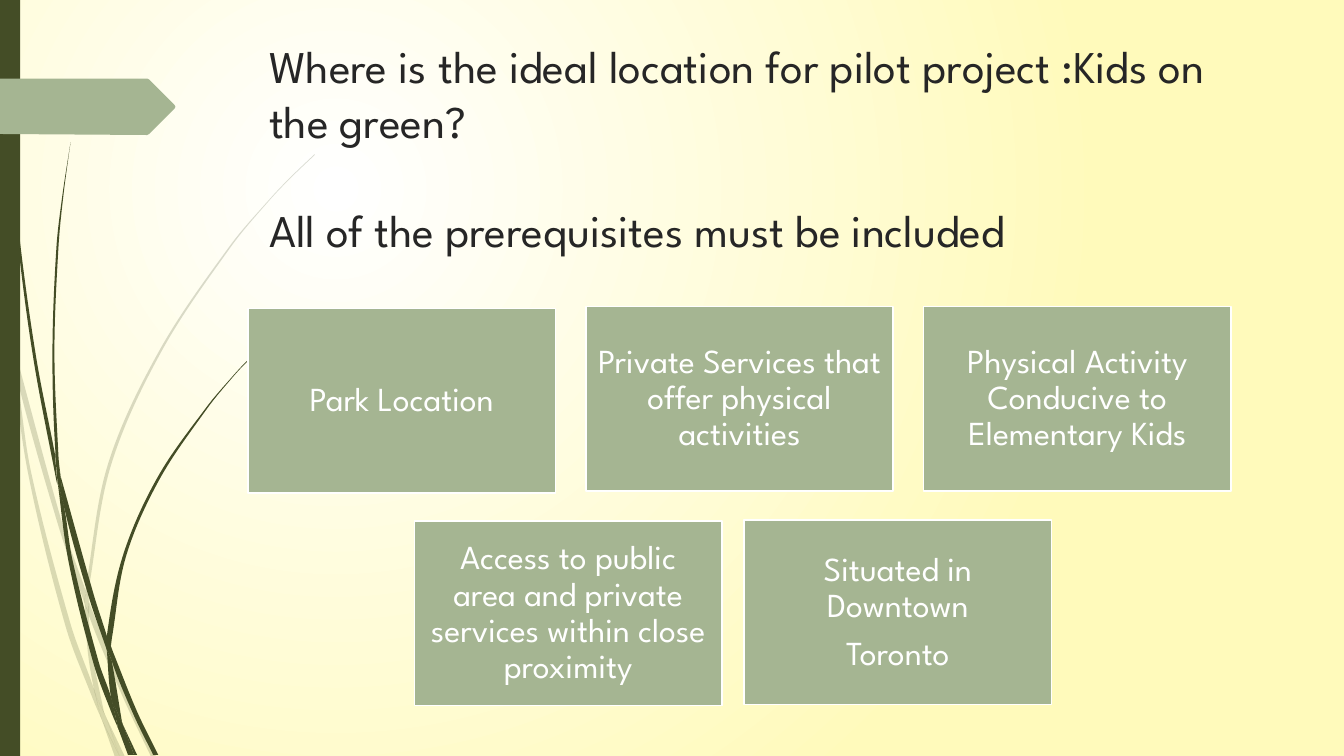
import math

from lxml import etree
from pptx import Presentation
from pptx.dml.color import RGBColor
from pptx.enum import shapes, text
from pptx.oxml import ns
from pptx.util import Inches, Pt

WHITE = RGBColor(0xFF, 0xFF, 0xFF)
CREAM = RGBColor(0xFF, 0xFA, 0xBB)
OLIVE = RGBColor(0x44, 0x4D, 0x26)
SAGE = RGBColor(0xA5, 0xB5, 0x92)
INK = RGBColor(0x26, 0x26, 0x26)
FONT = "League Spartan"

PALE_BLADES = [
    ([(0.11, 3.5), (0.09, 3.22), (0, 2.82)], [(0, 2.99), (0.1, 3.44), (0.11, 3.5)]),
    ([(0.14, 3.45), (0.17, 3.76), (0.58, 5.22), (0.84, 5.99)],
     [(0.85, 5.86), (0.62, 5.2), (0.14, 3.45)]),
    ([(0.88, 5.96), (0.88, 6.1), (1.23, 6.94), (1.5, 7.51)],
     [(1.55, 7.51), (1.27, 6.92), (0.92, 6.07), (0.88, 5.96)]),
    ([(1.05, 7.11), (1.19, 7.51)], [(1.24, 7.51), (1.05, 7.11)]),
    ([(0.11, 3.5), (0.28, 4.7), (0.65, 6.21), (0.92, 6.93), (1.01, 7.14)],
     [(0.99, 7.07), (0.93, 6.83), (0.7, 6.19), (0.31, 4.69), (0.17, 3.76), (0.11, 3.5)]),
    ([(0.84, 5.99), (0.87, 6.46), (0.93, 6.83), (0.96, 6.92), (1.05, 7.11)],
     [(1.03, 7.06), (0.91, 6.46), (0.88, 6.1), (0.88, 6.08), (0.84, 5.99)]),
    ([(3.12, 1.53), (2.89, 1.75), (2.68, 1.97), (2.28, 2.44), (1.58, 3.48), (1.07, 4.61),
      (0.85, 5.84), (0.85, 5.86), (0.88, 5.96)],
     [(0.88, 5.84), (1.1, 4.62), (1.6, 3.49), (2.29, 2.45), (2.68, 1.98), (2.9, 1.75),
      (3.12, 1.54)]),
    ([(1.01, 7.14), (1.14, 7.51)], [(1.19, 7.51), (1.01, 7.14)]),
    ([(0.88, 6.08), (0.88, 6.1), (0.88, 5.96)], [(0.85, 5.86), (0.84, 5.99), (0.88, 6.08)]),
    ([(0.93, 6.83), (0.99, 7.07), (1.01, 7.14), (1.19, 7.51)],
     [(1.19, 7.51), (1.05, 7.11), (0.96, 6.92), (0.93, 6.83)]),
]
DARK_BLADES = [
    ([(0.03, 0), (0.04, 0.48), (0.07, 1.1), (0.17, 2.33), (0.33, 3.55), (0.56, 4.77),
      (0.57, 4.81)],
     [(0.55, 4.57), (0.55, 4.53), (0.36, 3.55), (0.19, 2.32), (0.08, 1.09), (0.05, 0.48),
      (0.04, 0)]),
    ([(0.6, 4.72), (0.64, 5.05), (0.88, 5.92), (1.06, 6.45)],
     [(1.06, 6.33), (1.06, 6.31), (0.93, 5.9), (0.6, 4.72)]),
    ([(1.1, 6.41), (1.11, 6.56), (1.32, 7.08), (1.52, 7.49)],
     [(1.57, 7.49), (1.36, 7.06), (1.13, 6.49), (1.1, 6.41)]),
    ([(0.57, 4.77), (0.68, 5.57), (0.93, 6.59), (1.11, 7.08), (1.17, 7.22)],
     [(1.16, 7.17), (1.1, 6.91), (0.98, 6.57), (0.72, 5.56), (0.64, 5.05), (0.57, 4.77)]),
    ([(0.7, 1.41), (0.62, 1.93), (0.56, 2.45), (0.52, 3.49), (0.55, 4.49), (0.6, 4.72)],
     [(0.6, 4.72), (0.58, 4.53), (0.54, 3.49), (0.58, 2.45), (0.63, 1.93), (0.7, 1.41)]),
    ([(1.22, 7.19), (1.33, 7.49)], [(1.36, 7.49), (1.22, 7.19)]),
    ([(0.57, 4.77), (0.64, 5.05)], [(0.6, 4.72), (0.55, 4.49), (0.55, 4.53), (0.57, 4.77)]),
    ([(2.6, 3.44), (2.45, 3.58), (2.31, 3.73), (2.04, 4.05), (1.56, 4.74), (1.22, 5.51),
      (1.06, 6.31), (1.1, 6.41)],
     [(1.11, 6.33), (1.25, 5.52), (1.58, 4.76), (2.05, 4.06), (2.31, 3.74), (2.45, 3.59),
      (2.61, 3.44)]),
    ([(1.17, 7.22), (1.27, 7.49)], [(1.31, 7.49), (1.17, 7.22)]),
    ([(1.06, 6.45), (1.1, 6.91), (1.16, 7.06), (1.22, 7.19)],
     [(1.21, 7.16), (1.11, 6.56), (1.09, 6.51), (1.06, 6.45)]),
    ([(1.06, 6.45), (1.09, 6.51), (1.11, 6.56)], [(1.1, 6.41), (1.06, 6.31), (1.06, 6.45)]),
    ([(1.1, 6.91), (1.16, 7.17), (1.17, 7.22), (1.3, 7.49)],
     [(1.33, 7.49), (1.22, 7.19), (1.16, 7.06), (1.1, 6.91)]),
]
ARROW = [(0, 0.78), (1.46, 0.78), (1.48, 0.79), (1.73, 1.04), (1.74, 1.06), (1.73, 1.08),
         (1.48, 1.33), (1.46, 1.34), (0, 1.33)]
TITLE = ["Where is the ideal location for pilot project :Kids on the green?",
         "All of the prerequisites must be included"]
PREREQUISITES = [
    (2.46, 3.06, "Park Location"),
    (5.81, 3.04, "Private Services that offer physical activities"),
    (9.16, 3.04, "Physical Activity Conducive to Elementary Kids"),
    (4.11, 5.17, "Access to public\varea and private services within close proximity"),
    (7.38, 5.16, "Situated in Downtown\nToronto"),
]


def control(at, before, after, reach):
    """Return the handle of a curve at a point, along its neighbours' chord."""
    chord = math.dist(before, after) or 1
    return tuple(p + (b - a) * reach / chord for p, a, b in zip(at, before, after))


def curve(edge):
    """Return two handles and an end point for each step of an edge."""
    padded = [edge[0], *edge, edge[-1]]
    points = []
    for a, b, c, d in zip(padded, padded[1:], padded[2:], padded[3:]):
        reach = math.dist(b, c) / 3
        points += [control(b, a, c, reach), control(c, b, d, -reach), c]
    return points


def paint(sp, color):
    """Give a shape a plain fill without line or shadow."""
    sp.shadow.inherit = False
    sp.fill.solid()
    sp.fill.fore_color.rgb = color
    sp.line.fill.background()


def add_outline(slide, points, color):
    """Draw a closed outline with straight sides."""
    corners = [(Inches(x), Inches(y)) for x, y in points]
    builder = slide.shapes.build_freeform(*corners[0])
    builder.add_line_segments(corners[1:])
    sp = builder.convert_to_shape()
    paint(sp, color)
    return sp


def add_blade(slide, left, right, alpha):
    """Draw a piece of grass between two curved edges, opacity in percent."""
    points = [left[0], *curve(left), *[right[0]] * 3, *curve(right)]
    sp = add_outline(slide, points, OLIVE)
    sides = list(sp._element.spPr.iter(ns.qn("a:lnTo")))
    for i in range(0, len(points) - 1, 3):
        bezier = etree.Element(ns.qn("a:cubicBezTo"))
        sides[i].addprevious(bezier)
        for side in sides[i:i + 3]:
            bezier.append(side[0])
            side.getparent().remove(side)
    if alpha < 100:
        clr = sp._element.spPr.find(ns.qn("a:solidFill"))[0]
        etree.SubElement(clr, ns.qn("a:alpha"), val=str(alpha * 1000))


def add_rect(slide, x, y, w, h, color):
    """Draw a plain rectangle."""
    sp = slide.shapes.add_shape(shapes.MSO_SHAPE.RECTANGLE,
                                Inches(x), Inches(y), Inches(w), Inches(h))
    paint(sp, color)
    return sp


def style(p, size, color):
    """Format the runs of a paragraph."""
    for r in p.runs:
        r.font.name = FONT
        r.font.size = Pt(size)
        r.font.color.rgb = color


def add_title(slide):
    """Write the question and the statement under it."""
    tf = slide.shapes.add_textbox(Inches(2.57), Inches(0.33),
                                  Inches(10.01), Inches(1.75)).text_frame
    tf.word_wrap = True
    tf.text = "\n".join(TITLE)
    for p in tf.paragraphs:
        style(p, 32.4, INK)
    tf.paragraphs[1].space_before = Pt(39)


def add_prerequisite(slide, x, y, label):
    """Draw one prerequisite box with its label."""
    sp = add_rect(slide, x, y, 3.05, 1.83, SAGE)
    sp.line.color.rgb = WHITE
    sp.line.width = Pt(1.25)
    tf = sp.text_frame
    tf.word_wrap = True
    tf.vertical_anchor = text.MSO_ANCHOR.MIDDLE
    tf.margin_left = tf.margin_right = tf.margin_top = tf.margin_bottom = Inches(0.1)
    tf.text = label
    for p in tf.paragraphs:
        p.alignment = text.PP_ALIGN.CENTER
        p.line_spacing = 0.9
        p.space_after = Pt(8.4)
        style(p, 24, WHITE)


def set_background(slide):
    """Fill the background with a radial gradient."""
    fill = slide.background.fill
    fill.gradient()
    for stop, color, position in zip(fill.gradient_stops, (WHITE, CREAM), (0, 1)):
        stop.color.rgb = color
        stop.position = position
    grad = slide.background._cSld.find(".//" + ns.qn("a:gradFill"))
    grad.remove(grad.find(ns.qn("a:lin")))
    path = etree.Element(ns.qn("a:path"), path="circle")
    etree.SubElement(path, ns.qn("a:fillToRect"),
                     l="50000", t="50000", r="100000", b="100000")
    grad.find(ns.qn("a:gsLst")).addnext(path)


def main():
    """Build the slide and save it."""
    prs = Presentation()
    prs.slide_width, prs.slide_height = Inches(13.33), Inches(7.5)
    slide = prs.slides.add_slide(prs.slide_layouts[6])
    set_background(slide)
    for blades, alpha in ((PALE_BLADES, 20), (DARK_BLADES, 100)):
        for left, right in blades:
            add_blade(slide, left, right, alpha)
    add_rect(slide, 0, 0, 0.2, 7.5, OLIVE)
    add_outline(slide, ARROW, SAGE)
    add_title(slide)
    for x, y, label in PREREQUISITES:
        add_prerequisite(slide, x, y, label)
    prs.save("out.pptx")


if __name__ == "__main__":
    main()
